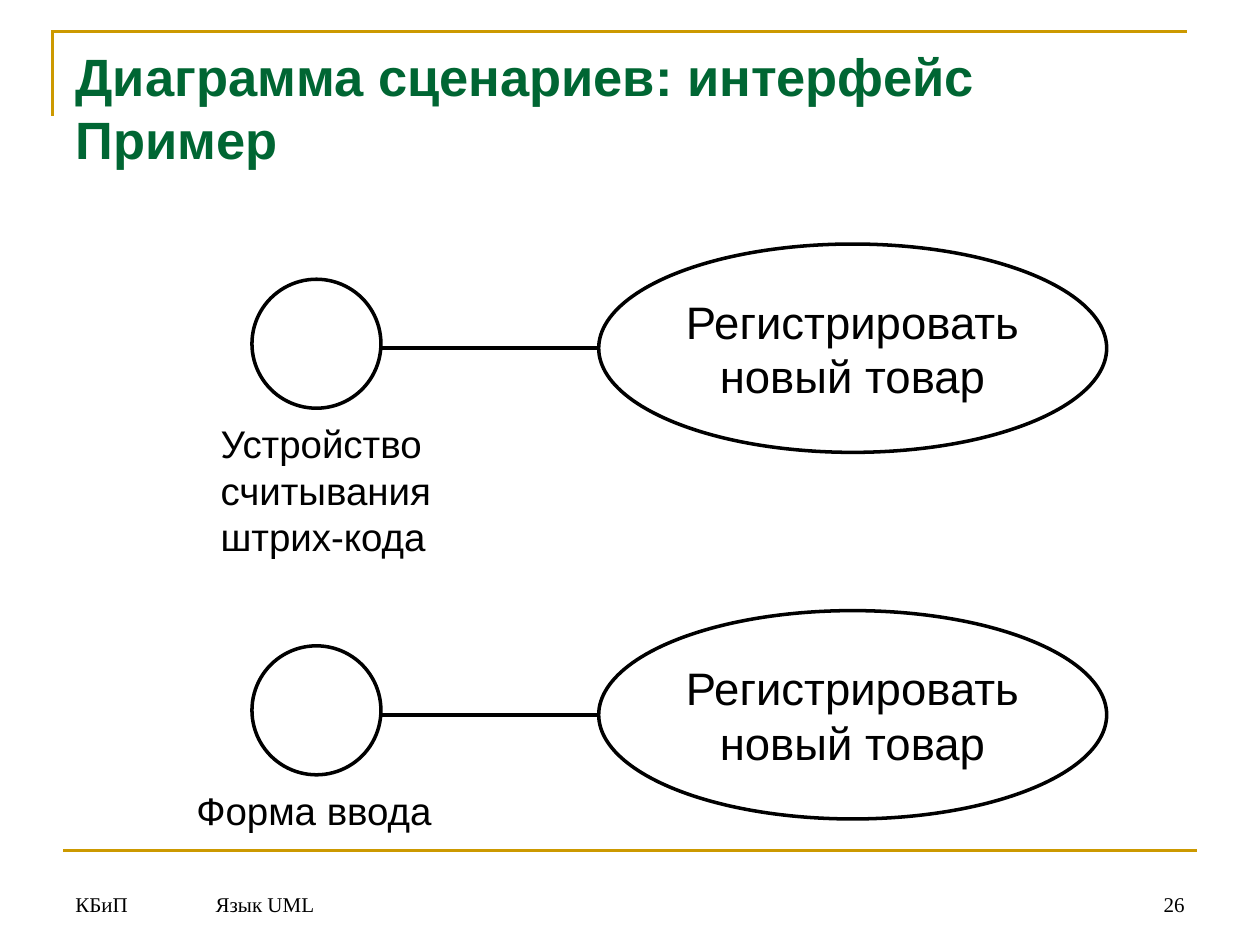
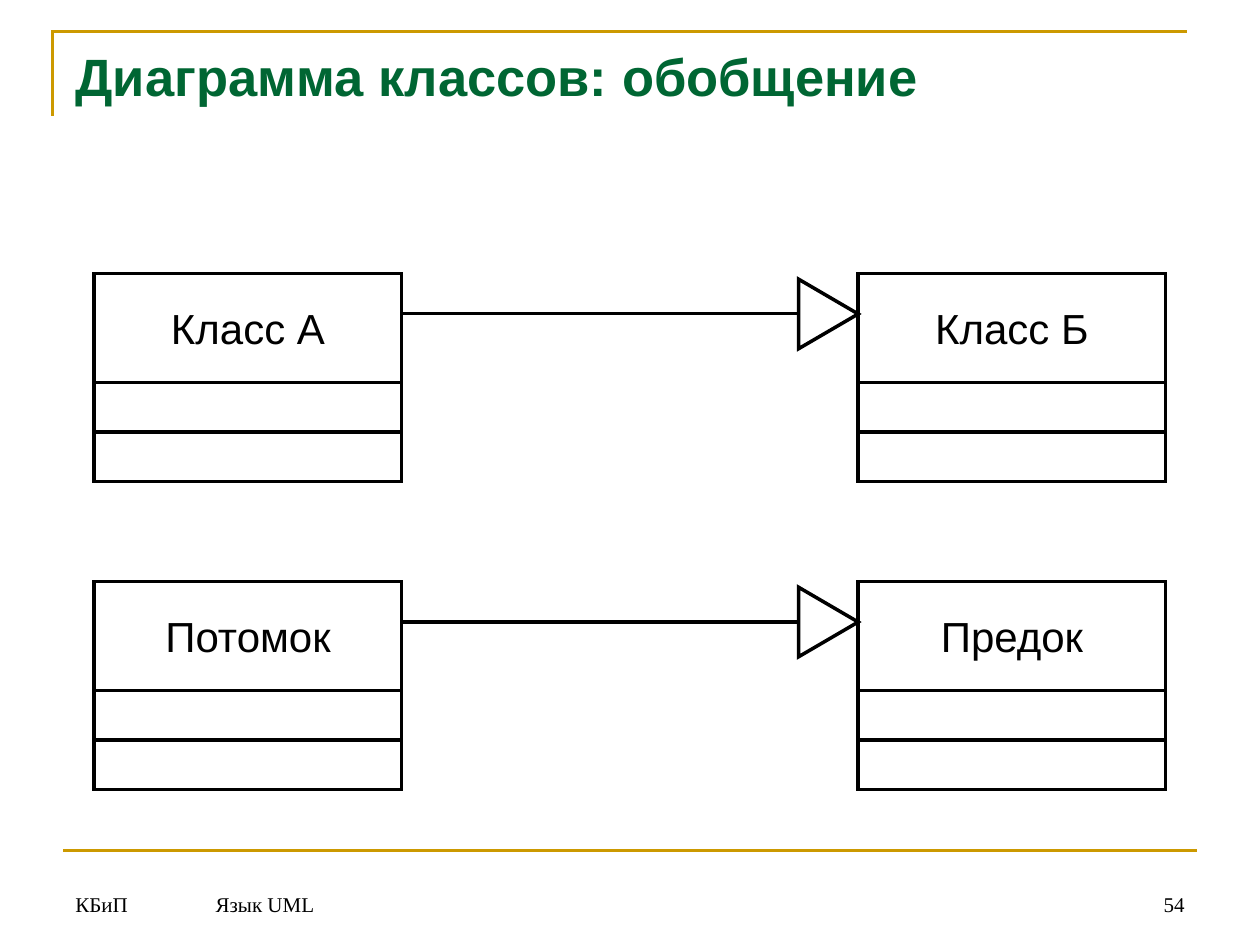
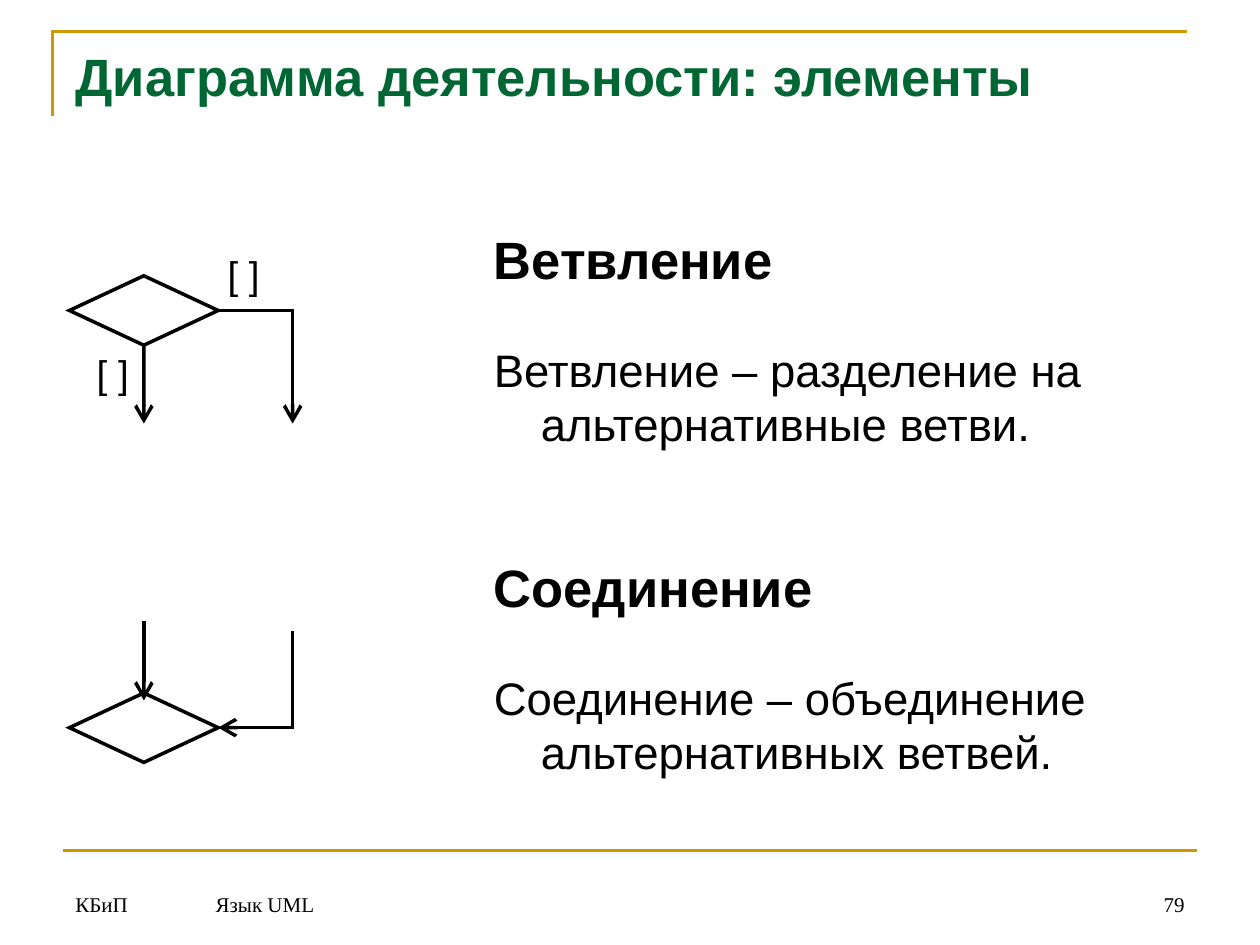
from lxml import etree
from pptx import Presentation
from pptx.dml.color import RGBColor
from pptx.enum.shapes import MSO_CONNECTOR as Link, MSO_SHAPE as Preset
from pptx.enum.text import MSO_ANCHOR as Anchor, MSO_AUTO_SIZE as AutoSize, PP_ALIGN as Align
from pptx.oxml.ns import qn
from pptx.util import Cm, Pt

BLACK = RGBColor(0x00, 0x00, 0x00)
GREEN = RGBColor(0x00, 0x66, 0x33)
GOLD = RGBColor(0xCC, 0x99, 0x00)

TITLE_FONT = dict(name="Arial", size=Pt(30), bold=True, color=GREEN)
HEADING_FONT = dict(name="Arial", size=Pt(30), bold=True, color=BLACK)
BODY_FONT = dict(name="Arial", size=Pt(26), bold=False, color=BLACK)
CLASS_FONT = dict(name="Arial", size=Pt(24), color=BLACK)
LABEL_FONT = dict(name="Arial", size=Pt(22), color=BLACK)
FOOTER_FONT = dict(name="Times New Roman", size=Pt(12), color=BLACK)
CENTRED = dict(vertical_anchor=Anchor.MIDDLE, word_wrap=True)
LABEL_FRAME = dict(word_wrap=False, auto_size=AutoSize.SHAPE_TO_FIT_TEXT)
FOOTER_FRAME = dict(word_wrap=True, vertical_anchor=Anchor.BOTTOM)
TOP_FRAME = dict(word_wrap=True, vertical_anchor=Anchor.TOP, auto_size=AutoSize.NONE)


def box_of(*lengths):
    """Turn numbers of centimetres into lengths."""
    return [Cm(length) for length in lengths]


def apply_values(target, values):
    """Set every attribute named in a dict of format values."""
    for name, value in values.items():
        if name == "color":
            target.color.rgb = value
        else:
            setattr(target, name, value)


def write_text(frame, text, font, frame_values, align=Align.LEFT):
    """Fill a text frame with formatted paragraphs."""
    frame.text = text
    apply_values(frame, frame_values)
    for paragraph in frame.paragraphs:
        paragraph.alignment = align
        apply_values(paragraph.font, font)


def add_text(slide, box, text, font, frame_values, align=Align.LEFT):
    """Add a text box."""
    shape = slide.shapes.add_textbox(*box_of(*box))
    write_text(shape.text_frame, text, font, frame_values, align)


def draw_stroke(shape, color, width):
    """Format a line with sharp corners and return its XML element."""
    apply_values(shape.line, dict(color=color, width=Pt(width)))
    stroke = shape._element.spPr.find(qn("a:ln"))
    etree.SubElement(stroke, qn("a:miter"), lim="800000")
    return stroke


def outline(shape, color=BLACK, width=2):
    """Leave a shape unfilled, with a plain outline."""
    shape.shadow.inherit = False
    shape.fill.background()
    draw_stroke(shape, color, width)


def add_outlined(slide, preset, box, text="", font=BODY_FONT):
    """Add an outlined preset shape with optional centred text."""
    shape = slide.shapes.add_shape(preset, *box_of(*box))
    outline(shape)
    if text:
        write_text(shape.text_frame, text, font, CENTRED, Align.CENTER)
    return shape


def add_line(slide, ends, color=BLACK, width=2, arrow=None, bent=False):
    """Add a straight or one-corner connector, with an arrow at headEnd or tailEnd."""
    kind = Link.ELBOW if bent else Link.STRAIGHT
    connector = slide.shapes.add_connector(kind, *box_of(*ends))
    stroke = draw_stroke(connector, color, width)
    properties = connector._element.spPr
    if bent:
        properties.find(qn("a:prstGeom")).set("prst", "bentConnector2")
    if arrow:
        etree.SubElement(stroke, qn("a:" + arrow), type="arrow", w="lg", len="lg")
    etree.SubElement(properties, qn("a:effectLst"))
    return connector


def place(shape, box):
    """Move a placeholder to a box."""
    apply_values(shape, dict(zip(("left", "top", "width", "height"), box_of(*box))))


def add_base(presentation, layout_index, title, number):
    """Add a slide with its frame lines, title and footer."""
    slide = presentation.slides.add_slide(presentation.slide_layouts[layout_index])
    builder = slide.shapes.build_freeform(Cm(1.06), Cm(2.33), scale=1.0)
    builder.add_line_segments([box_of(1.06, 0.63), box_of(23.92, 0.63)], close=False)
    outline(builder.convert_to_shape(), GOLD, 1.5)
    add_line(slide, (1.27, 17.15, 24.13, 17.15), GOLD, 1.5)
    footers = [(1.27, 2.44, "КБиП", Align.LEFT),
               (4.1, 18.39, "Язык UML", Align.LEFT),
               (22.71, 1.42, str(number), Align.RIGHT)]
    for left, width, text, align in footers:
        add_text(slide, (left, 17.34, width, 1.27), text, FOOTER_FONT, FOOTER_FRAME, align)
    place(slide.shapes.title, (1.27, 0.77, 22.86, 3.18))
    write_text(slide.shapes.title.text_frame, title, TITLE_FONT, TOP_FRAME)
    return slide


def add_interface(slide, top, label, label_box):
    """Draw an interface circle joined to its use case."""
    middle = top + 2.1
    add_outlined(slide, Preset.OVAL, (5.08, top + 0.71, 2.6, 2.6))
    left, width, height = label_box
    add_text(slide, (left, top + 3.43, width, height), label, LABEL_FONT, LABEL_FRAME)
    add_outlined(slide, Preset.OVAL, (12.07, top, 10.24, 4.2), "Регистрировать новый товар")
    add_line(slide, (7.68, middle, 12.07, middle))


def add_class(slide, left, top, name):
    """Draw a class box with a name and two empty sections."""
    add_outlined(slide, Preset.RECTANGLE, (left, top, 6.2, 2.2), name, CLASS_FONT)
    for section in range(2):
        add_outlined(slide, Preset.RECTANGLE, (left, top + 2.2 + section, 6.2, 1))


def add_generalization(slide, top, child, parent):
    """Draw two classes joined by a generalization arrow."""
    add_line(slide, (8.1, top + 0.81, 16.1, top + 0.81), width=2.25)
    add_class(slide, 1.9, top, child)
    add_class(slide, 17.3, top, parent)
    triangle = add_outlined(slide, Preset.ISOSCELES_TRIANGLE, (16, top + 0.22, 1.4, 1.2))
    triangle.rotation = 90


def add_branch(slide, left, top):
    """Draw a decision with two guarded outgoing flows."""
    diamond = add_outlined(slide, Preset.DIAMOND, (left, top, 3, 1.4))
    down = add_line(slide, (left + 1.5, top + 1.4, left + 1.5, top + 2.98), arrow="tailEnd")
    down.begin_connect(diamond, 2)
    add_line(slide, (left + 3, top + 0.7, left + 4.5, top + 2.98), arrow="tailEnd", bent=True)
    for right, below in ((2.94, -0.62), (0.3, 1.38)):
        add_text(slide, (left + right, top + below, 1.6, 1.19), "[ ]", LABEL_FONT, TOP_FRAME)


def add_merge(slide, left, top):
    """Draw a merge with two incoming flows."""
    add_outlined(slide, Preset.DIAMOND, (left, top + 1.45, 3, 1.4))
    add_line(slide, (left + 1.5, top, left + 1.5, top + 1.6), arrow="tailEnd")
    add_line(slide, (left + 3, top + 2.15, left + 4.5, top + 0.21), arrow="headEnd", bent=True)


def fill_definitions(placeholder, box, definitions):
    """Write headings and their definitions with hanging indents."""
    place(placeholder, box)
    frame = placeholder.text_frame
    texts = [text for pair in definitions for text in pair]
    write_text(frame, "\n".join(texts), BODY_FONT, TOP_FRAME)
    for index, paragraph in enumerate(frame.paragraphs):
        properties = paragraph._p.get_or_add_pPr()
        properties.set("marL", str(Cm(0.95)))
        properties.set("indent", str(-Cm(0.95)))
        properties.insert(0, etree.Element(qn("a:buNone")))
        heading = index % 2 == 0
        gap = 0 if index == 0 else 59.5 if heading else 29.5
        paragraph.space_before = Pt(gap)
        for run in paragraph.runs:
            apply_values(run.font, HEADING_FONT if heading else BODY_FONT)


def build_interfaces(presentation):
    """Build the slide on interfaces."""
    slide = add_base(presentation, 5, "Диаграмма сценариев: интерфейс\vПример", 26)
    add_interface(slide, 4.92, "Устройство\nсчитывания\nштрих-кода", (4.2, 4.75, 3.05))
    add_interface(slide, 12.31, "Форма ввода", (3.71, 5.26, 1.19))


def build_generalization(presentation):
    """Build the slide on generalization."""
    slide = add_base(presentation, 5, "Диаграмма классов: обобщение", 54)
    add_generalization(slide, 5.51, "Класс А", "Класс Б")
    add_generalization(slide, 11.72, "Потомок", "Предок")


def build_activity(presentation):
    """Build the slide on branching and merging."""
    slide = add_base(presentation, 1, "Диаграмма деятельности: элементы", 79)
    fill_definitions(slide.placeholders[1], (9.7, 4.45, 14.43, 12.57), [
        ("Ветвление", "Ветвление – разделение на альтернативные ветви."),
        ("Соединение", "Соединение – объединение альтернативных ветвей."),
    ])
    add_branch(slide, 1.4, 5.56)
    add_merge(slide, 1.4, 12.52)


def main():
    """Build and save the presentation."""
    presentation = Presentation()
    presentation.slide_width, presentation.slide_height = box_of(25.4, 19.05)
    build_interfaces(presentation)
    build_generalization(presentation)
    build_activity(presentation)
    presentation.save("out.pptx")


if __name__ == "__main__":
    main()
